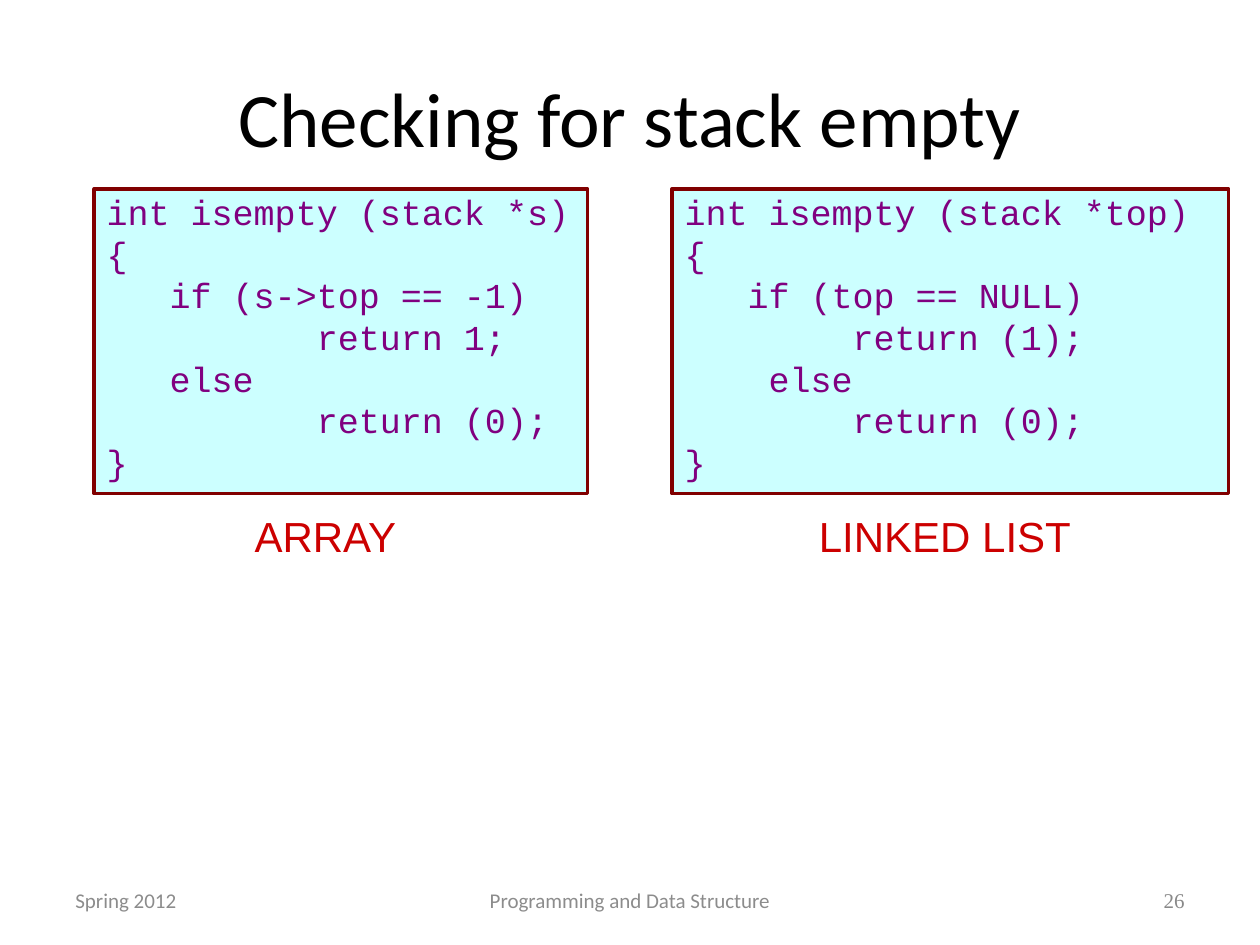
import pptx
import pptx.util
import pptx.dml.color
import pptx.enum.shapes
import pptx.enum.text

Cm = pptx.util.Cm
Pt = pptx.util.Pt
ALIGN = pptx.enum.text.PP_ALIGN
ANCHOR = pptx.enum.text.MSO_ANCHOR

ARRAY_CODE = """int isempty (stack *s)
{
   if (s->top == -1)
          return 1;
   else
          return (0);
}"""

LIST_CODE = """int isempty (stack *top)
{
   if (top == NULL)
        return (1);
    else
        return (0);
}"""


def color(value):
    return pptx.dml.color.RGBColor.from_string(value)


class Deck:
    code_fill = "CCFFFF"
    code_line = "800000"
    code_text = "800080"
    caption_text = "CC0000"

    def __init__(self):
        self.prs = pptx.Presentation()
        self.prs.slide_width = Cm(25.4)
        self.prs.slide_height = Cm(19.05)
        self.s = self.prs.slides.add_slide(self.prs.slide_layouts[5])

    def font(self, p, name, size, value):
        p.font.name = name
        p.font.size = Pt(size)
        p.font.color.rgb = color(value)

    def title(self, text):
        sp = self.s.shapes.title
        sp.left, sp.top, sp.width, sp.height = Cm(1.27), Cm(0.76), Cm(22.86), Cm(3.18)
        tf = sp.text_frame
        tf.text = text
        tf.vertical_anchor = ANCHOR.MIDDLE
        p = tf.paragraphs[0]
        p.alignment = ALIGN.CENTER
        self.font(p, "Calibri", 44, "000000")

    def code(self, left, width, text):
        sp = self.s.shapes.add_shape(
            pptx.enum.shapes.MSO_SHAPE.RECTANGLE, Cm(left), Cm(3.81), Cm(width), Cm(6.14))
        sp.shadow.inherit = False
        sp.fill.solid()
        sp.fill.fore_color.rgb = color(self.code_fill)
        sp.line.color.rgb = color(self.code_line)
        sp.line.width = Pt(2)
        tf = sp.text_frame
        tf.text = text
        tf.word_wrap = True
        tf.vertical_anchor = ANCHOR.TOP
        for i, p in enumerate(tf.paragraphs):
            p.alignment = ALIGN.LEFT
            p.line_spacing = 0.9
            p.space_before = Pt(2.2 if i else 0)
            self.font(p, "Courier New", 20, self.code_text)

    def text(self, left, top, width, height, text, align, name, size, value, anchor=ANCHOR.TOP):
        sp = self.s.shapes.add_textbox(Cm(left), Cm(top), Cm(width), Cm(height))
        tf = sp.text_frame
        tf.text = text
        tf.word_wrap = True
        tf.vertical_anchor = anchor
        p = tf.paragraphs[0]
        p.alignment = align
        self.font(p, name, size, value)

    def caption(self, left, width, text):
        self.text(left, 10.16, width, 1.27, text, ALIGN.CENTER, "Arial", 24, self.caption_text)

    def footer(self, left, width, text, align, name="Calibri", value="8C8C8C"):
        self.text(left, 17.65, width, 1.01, text, align, name, 12, value, ANCHOR.MIDDLE)


def main():
    deck = Deck()
    deck.title("Checking for stack empty")
    deck.code(1.9, 9.95, ARRAY_CODE)
    deck.code(13.55, 11.22, LIST_CODE)
    deck.caption(4.23, 4.66, "ARRAY")
    deck.caption(15.03, 8.04, "LINKED LIST")
    deck.footer(1.27, 5.93, "Spring 2012", ALIGN.LEFT)
    deck.footer(8.68, 8.04, "Programming and Data Structure", ALIGN.CENTER)
    deck.footer(18.2, 5.93, "26", ALIGN.RIGHT, "Times New Roman", "898989")
    deck.prs.save("out.pptx")


if __name__ == "__main__":
    main()
